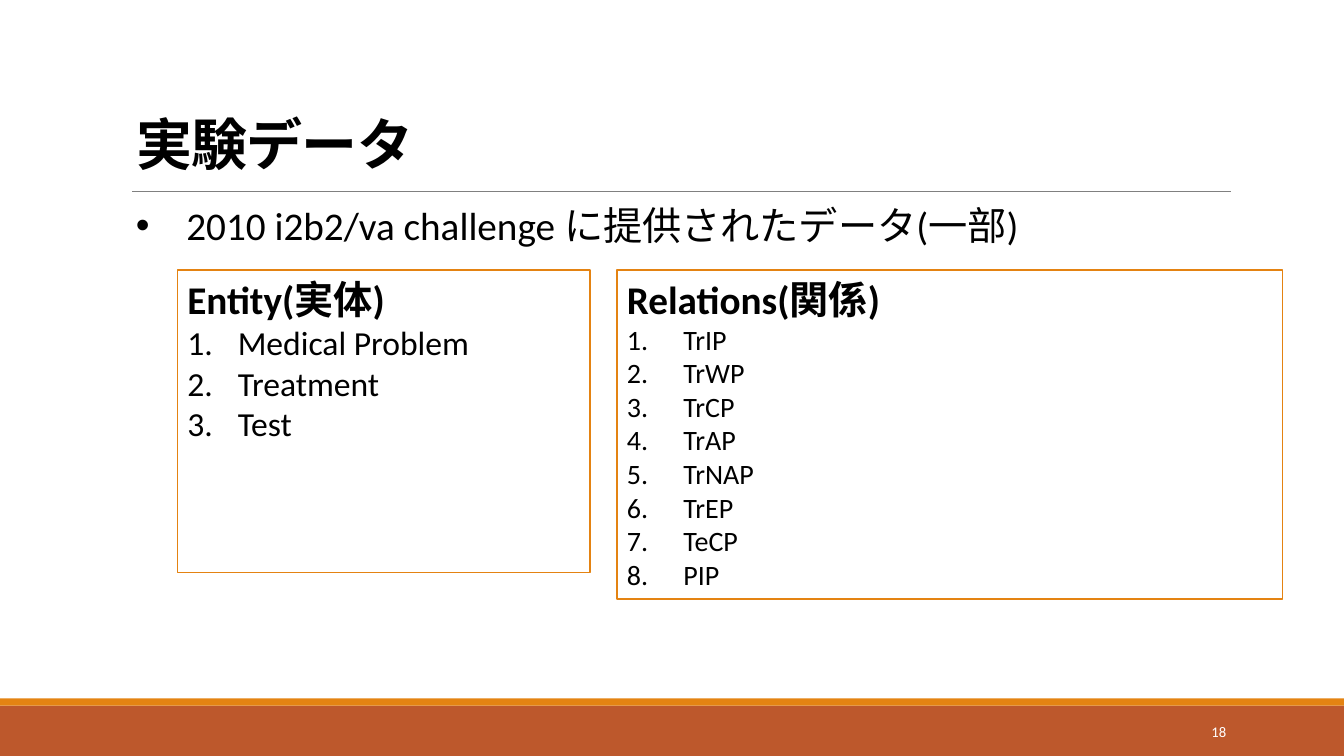
from lxml.etree import SubElement
from pptx import Presentation
from pptx.dml.color import RGBColor
from pptx.enum.shapes import MSO_CONNECTOR as CONN, MSO_SHAPE as SHAPE
from pptx.enum.text import MSO_ANCHOR as ANCHOR, MSO_AUTO_SIZE as AUTO, PP_ALIGN as ALIGN
from pptx.oxml.ns import qn
from pptx.util import Inches, Pt

BLACK = RGBColor(0x00, 0x00, 0x00)
WHITE = RGBColor(0xFF, 0xFF, 0xFF)
GRAY = RGBColor(0x80, 0x80, 0x80)
ORANGE = RGBColor(0xE4, 0x83, 0x12)
RUST = RGBColor(0xBD, 0x58, 0x2C)
LATIN, EAST_ASIAN = "Calibri", "Noto Sans CJK JP"
WIDTH, HEIGHT = 13.33, 7.5


def add_run(p, text, size, color=BLACK, bold=False):
    """Append a run with its Latin and East Asian fonts."""
    r = p.add_run()
    r.text = text
    fmt = {"size": Pt(size), "bold": bold, "name": LATIN}
    for name, value in fmt.items():
        setattr(r.font, name, value)
    r.font.color.rgb = color
    rPr = r._r.get_or_add_rPr()
    SubElement(rPr, qn("a:ea")).set("typeface", EAST_ASIAN)
    return r


def set_bullet(p, tag, indent, **attrs):
    """Give a paragraph a hanging bullet or number."""
    pPr = p._p.get_or_add_pPr()
    pPr.set("marL", str(Inches(indent)))
    pPr.set("indent", str(-Inches(indent)))
    SubElement(pPr, qn("a:buFont")).set("typeface", "Arial" if tag == "a:buChar" else "+mj-lt")
    bullet = SubElement(pPr, qn(tag))
    for name, value in attrs.items():
        bullet.set(name, value)


def add_rect(s, box, fill=None, line=None):
    """Draw a plain rectangle."""
    sp = s.shapes.add_shape(SHAPE.RECTANGLE, *map(Inches, box))
    sp.shadow.inherit = False
    if fill is None:
        sp.fill.background()
    else:
        sp.fill.solid()
        sp.fill.fore_color.rgb = fill
    if line is None:
        sp.line.fill.background()
    else:
        sp.line.color.rgb = line
        sp.line.width = Pt(1.25)
    return sp


def add_textbox(s, box, anchor=ANCHOR.TOP):
    """Place a wrapping text box and return its first paragraph."""
    tf = s.shapes.add_textbox(*map(Inches, box)).text_frame
    tf.word_wrap = True
    tf.vertical_anchor = anchor
    return tf.paragraphs[0]


def add_title(s, box, text):
    """Fill the title placeholder and rule a line below it."""
    sp = s.shapes.title
    sp.left, sp.top, sp.width, sp.height = map(Inches, box)
    tf = sp.text_frame
    fmt = {"word_wrap": True, "auto_size": AUTO.NONE, "vertical_anchor": ANCHOR.BOTTOM}
    for name, value in fmt.items():
        setattr(tf, name, value)
    p = tf.paragraphs[0]
    p.alignment = ALIGN.LEFT
    p.line_spacing = 0.85
    r = add_run(p, text, 40, bold=True)
    r._r.get_or_add_rPr().set("spc", "-50")

    left, top, _, height = box
    y = Inches(top + height + 0.09)
    rule = s.shapes.add_connector(CONN.STRAIGHT, Inches(left + 0.06), y, Inches(12.21), y)
    rule.line.color.rgb = GRAY
    rule.line.width = Pt(0.5)
    SubElement(rule._element.spPr, qn("a:effectLst"))


def add_lead(s, box, parts):
    """Write the bulleted lead sentence."""
    p = add_textbox(s, box)
    set_bullet(p, "a:buChar", 0.5, char="•")
    for text in parts:
        add_run(p, text, 28)


def add_list_box(s, box, heading, items, size, indent, fill=None):
    """Draw a framed box with a bold heading and a numbered list."""
    tf = add_rect(s, box, fill, ORANGE).text_frame
    tf.word_wrap = True
    tf.vertical_anchor = ANCHOR.TOP
    p = tf.paragraphs[0]
    p.alignment = ALIGN.LEFT
    for text in heading:
        add_run(p, text, 28, bold=True)
    for item in items:
        p = tf.add_paragraph()
        p.alignment = ALIGN.LEFT
        set_bullet(p, "a:buAutoNum", indent, type="arabicPeriod")
        add_run(p, item, size)


def add_footer(s, box, number):
    """Draw the footer bands and the slide number."""
    left, top, width, height = box
    add_rect(s, box, RUST)
    add_rect(s, (left, top - 0.07, width, 0.07), ORANGE)
    p = add_textbox(s, (left + 10.83, top + 0.06, 1.43, 0.4), ANCHOR.MIDDLE)
    p.alignment = ALIGN.RIGHT
    add_run(p, number, 10.5, WHITE)


def main():
    """Build and save the slide."""
    prs = Presentation()
    prs.slide_width, prs.slide_height = Inches(WIDTH), Inches(HEIGHT)
    s = prs.slides.add_slide(prs.slide_layouts[5])
    add_footer(s, (0, HEIGHT - 0.5, WIDTH, 0.5), "18")
    add_title(s, (1.25, 0.41, 9.75, 1.4), "実験データ")
    add_lead(s, (1.25, 1.95, 11.12, 0.91),
             ["2010 i2b2/va challenge ", "に提供されたデータ(一部)"])
    add_list_box(s, (1.76, 2.68, 4.09, 3), ["Entity(", "実体", ")"],
                 ["Medical Problem", "Treatment", "Test"], 24, 0.5, WHITE)
    add_list_box(s, (6.12, 2.68, 6.6, 3.26), ["Relations(", "関係", ")"],
                 ["TrIP", "TrWP", "TrCP", "TrAP", "TrNAP", "TrEP", "TeCP", "PIP"], 20, 0.56)
    prs.save("out.pptx")


if __name__ == "__main__":
    main()
